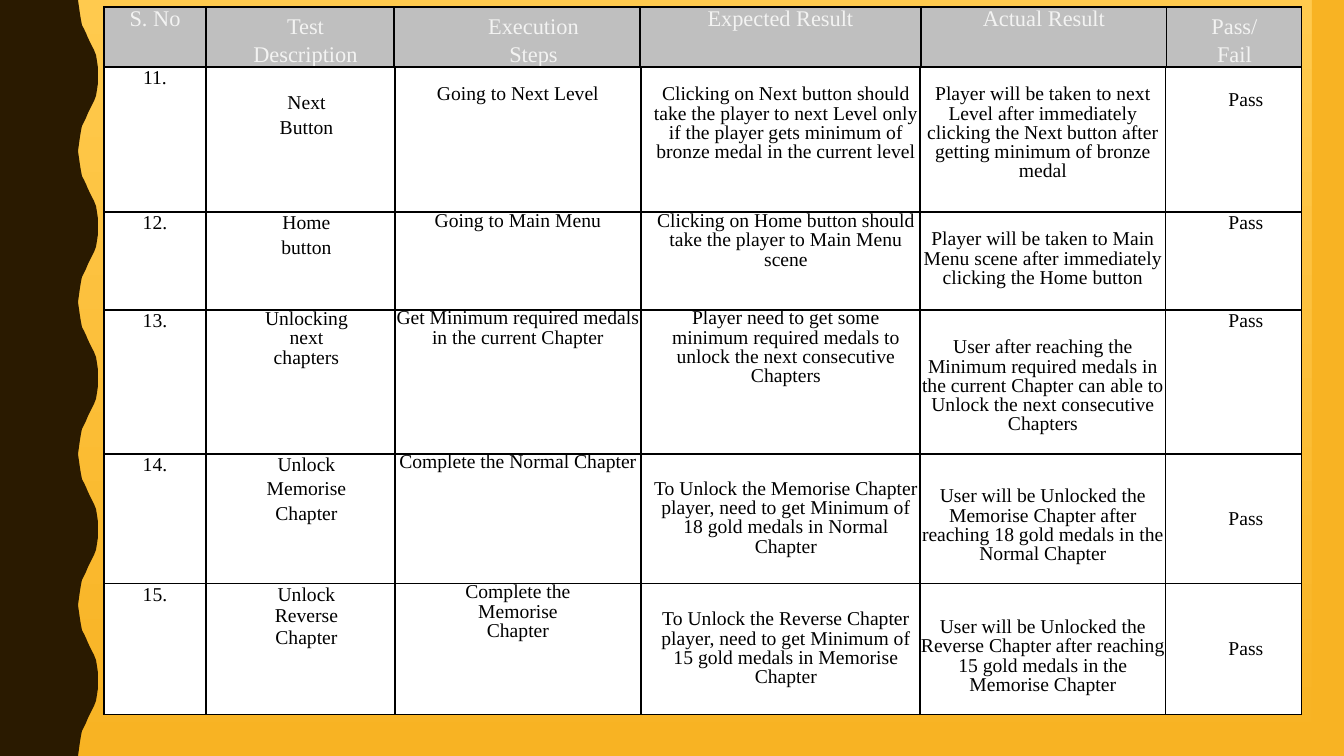
import pptx
import pptx.dml.color
import pptx.enum.shapes
import pptx.enum.text
import pptx.oxml
import pptx.oxml.ns
import pptx.util

EMU_PER_PX = 12192000 / 1344
WIDTH, HEIGHT = 1344, 756
COLORS = {
    "gold_light": "FFCA4E", "gold": "F8B323", "brown": "2A1A00",
    "header": "BFBFBF", "header_text": "F3F3F2", "cell": "FFFFFF", "ink": "000000",
}
ANCHOR = pptx.enum.text.MSO_ANCHOR
TIGHT = 13.7
WAVES = 5
HALF_WAVE = [
    (78, 0), (79, 7), (80, 14), (81, 20), (82, 25), (84, 29), (86, 33), (88, 38),
    (90, 42), (92, 46), (94, 50), (96, 55), (97, 61), (98, 68),
]

HEADER_WIDTHS = [102, 188, 246, 281, 246, 135]
BODY_WIDTHS = [102, 189, 246, 279, 246, 136]
HEADER = [
    ("S. No", {}),
    ("Test\nDescription", {"indent": 11, "anchor": ANCHOR.BOTTOM, "after": 2.1}),
    ("Execution\nSteps", {"indent": 33, "anchor": ANCHOR.BOTTOM, "after": 2.1}),
    ("Expected Result", {}),
    ("Actual Result", {}),
    ("Pass/\nFail", {"anchor": ANCHOR.BOTTOM, "after": 2.1}),
]
COLUMN_FORMATS = [
    {}, {"indent": 12, "after": 2.1}, {"line": TIGHT},
    {"indent": 11, "line": TIGHT}, {"line": TIGHT}, {"indent": 24},
]
MIDDLE = {"anchor": ANCHOR.MIDDLE}
TEST_CASES = [
    [
        ("11.", {}),
        ("Next\nButton", {"top": 25}),
        ("Going to Next Level", {"top": 19}),
        ("Clicking on Next button should take the player to next Level only if the "
         "player gets minimum of bronze medal in the current level", {"top": 19}),
        ("Player will be taken to next Level after immediately clicking the Next "
         "button after getting minimum of bronze medal", {"top": 19}),
        ("Pass", {"top": 22}),
    ],
    [
        ("12.", {}),
        ("Home\nbutton", {}),
        ("Going to Main Menu", {"line": 13.9}),
        ("Clicking on Home button should take the player to Main Menu scene",
         {"line": 13.9}),
        ("Player will be taken to Main Menu scene after immediately clicking the "
         "Home button", {"top": 19}),
        ("Pass", {}),
    ],
    [
        ("13.", {}),
        ("Unlocking\nnext\nchapters", {"line": 13.9, "after": 0}),
        ("Get Minimum required medals in the current Chapter", {}),
        ("Player need to get some minimum required medals to unlock the next "
         "consecutive Chapters", {}),
        ("User after reaching the Minimum required medals in the current Chapter "
         "can able to Unlock the next consecutive Chapters", {"top": 29}),
        ("Pass", {}),
    ],
    [
        ("14.", {}),
        ("Unlock\nMemorise\nChapter", {}),
        ("Complete the Normal Chapter", {}),
        ("To Unlock the Memorise Chapter player, need to get Minimum of 18 gold "
         "medals in Normal Chapter", MIDDLE),
        ("User will be Unlocked the Memorise Chapter after reaching 18 gold medals "
         "in the Normal Chapter", {"top": 34}),
        ("Pass", MIDDLE),
    ],
    [
        ("15.", {}),
        ("Unlock\nReverse\nChapter", {"line": 15.4, "after": 0}),
        ("Complete the\nMemorise\nChapter", {}),
        ("To Unlock the Reverse Chapter player, need to get Minimum of 15 gold "
         "medals in Memorise Chapter", MIDDLE),
        ("User will be Unlocked the Reverse Chapter after reaching 15 gold medals "
         "in the Memorise Chapter", {"top": 35}),
        ("Pass", MIDDLE),
    ],
]
BODY = [
    [(text, {**base, **extra}) for base, (text, extra) in zip(COLUMN_FORMATS, case)]
    for case in TEST_CASES
]


def px(length):
    return round(length * EMU_PER_PX)


def rgb(name):
    return pptx.dml.color.RGBColor.from_string(COLORS[name])


def write_text(frame, text, *, font, size, color, line=None, after=0):
    lines = text.split("\n")
    for index, words in enumerate(lines):
        paragraph = frame.add_paragraph() if index else frame.paragraphs[0]
        paragraph.alignment = pptx.enum.text.PP_ALIGN.CENTER
        if line:
            paragraph.line_spacing = pptx.util.Pt(line)
        if after and index < len(lines) - 1:
            paragraph.space_after = pptx.util.Pt(after)
        run = paragraph.add_run()
        run.text = words
        run.font.name = font
        run.font.size = pptx.util.Pt(size)
        run.font.color.rgb = rgb(color)


class TestCaseSlide:
    """Draws styled elements on the current slide."""

    def __init__(self, slide, font):
        self.slide = slide
        self.font = font

    def background(self, top, bottom):
        fill = self.slide.background.fill
        fill.gradient()
        fill.gradient_angle = 270
        for stop, name in zip(fill.gradient_stops, (top, bottom)):
            stop.color.rgb = rgb(name)

    def paint(self, shape, color):
        shape.shadow.inherit = False
        shape.fill.solid()
        shape.fill.fore_color.rgb = rgb(color)
        shape.line.fill.background()

    def strip(self, left, top, width, height, color):
        kind = pptx.enum.shapes.MSO_SHAPE.RECTANGLE
        box = map(px, (left, top, width, height))
        self.paint(self.slide.shapes.add_shape(kind, *box), color)

    def wavy_edge(self, color):
        period = HEIGHT / WAVES
        wave = HALF_WAVE + [(98, period / 2)]
        wave += [(x, period - y) for x, y in reversed(HALF_WAVE)]
        edge = [(x, round(n * period + y)) for n in range(WAVES) for x, y in wave]
        builder = self.slide.shapes.build_freeform(0, 0, scale=EMU_PER_PX)
        builder.add_line_segments(edge + [(0, HEIGHT)], close=True)
        self.paint(builder.convert_to_shape(), color)

    def borders(self, cell):
        properties = cell._tc.get_or_add_tcPr()
        namespace = pptx.oxml.ns.nsdecls("a")
        for side in "LRTB":
            properties.append(pptx.oxml.parse_xml(
                f'<a:ln{side} {namespace} w="12700"><a:solidFill>'
                f'<a:srgbClr val="{COLORS["ink"]}"/></a:solidFill></a:ln{side}>'))

    def cell(self, cell, text, *, fill, indent=0, top=0, anchor=ANCHOR.TOP, **style):
        cell.margin_left, cell.margin_top = px(indent), px(top)
        cell.margin_right = cell.margin_bottom = 0
        cell.vertical_anchor = anchor
        self.borders(cell)
        cell.fill.solid()
        cell.fill.fore_color.rgb = rgb(fill)
        write_text(cell.text_frame, text, font=self.font, **style)

    def table(self, left, top, widths, heights, rows, **style):
        box = map(px, (left, top, sum(widths), sum(heights)))
        table = self.slide.shapes.add_table(len(rows), len(widths), *box).table
        table.first_row = table.horz_banding = False
        for column, width in zip(table.columns, widths):
            column.width = px(width)
        for row, height, entries in zip(table.rows, heights, rows):
            row.height = px(height)
            for cell, (text, extra) in zip(row.cells, entries):
                self.cell(cell, text, **style, **extra)


def main():
    deck = pptx.Presentation()
    deck.slide_width, deck.slide_height = px(WIDTH), px(HEIGHT)
    page = TestCaseSlide(deck.slides.add_slide(deck.slide_layouts[6]), "Times New Roman")
    page.background("gold_light", "gold")
    page.wavy_edge("brown")
    page.strip(1312, 0, 32, HEIGHT, "gold")
    page.table(104, 7, HEADER_WIDTHS, [60], [HEADER],
               fill="header", size=16, color="header_text")
    page.table(104, 67, BODY_WIDTHS, [145, 98, 144, 130, 131], BODY,
               fill="cell", size=14, color="ink")
    deck.save("out.pptx")


if __name__ == "__main__":
    main()
